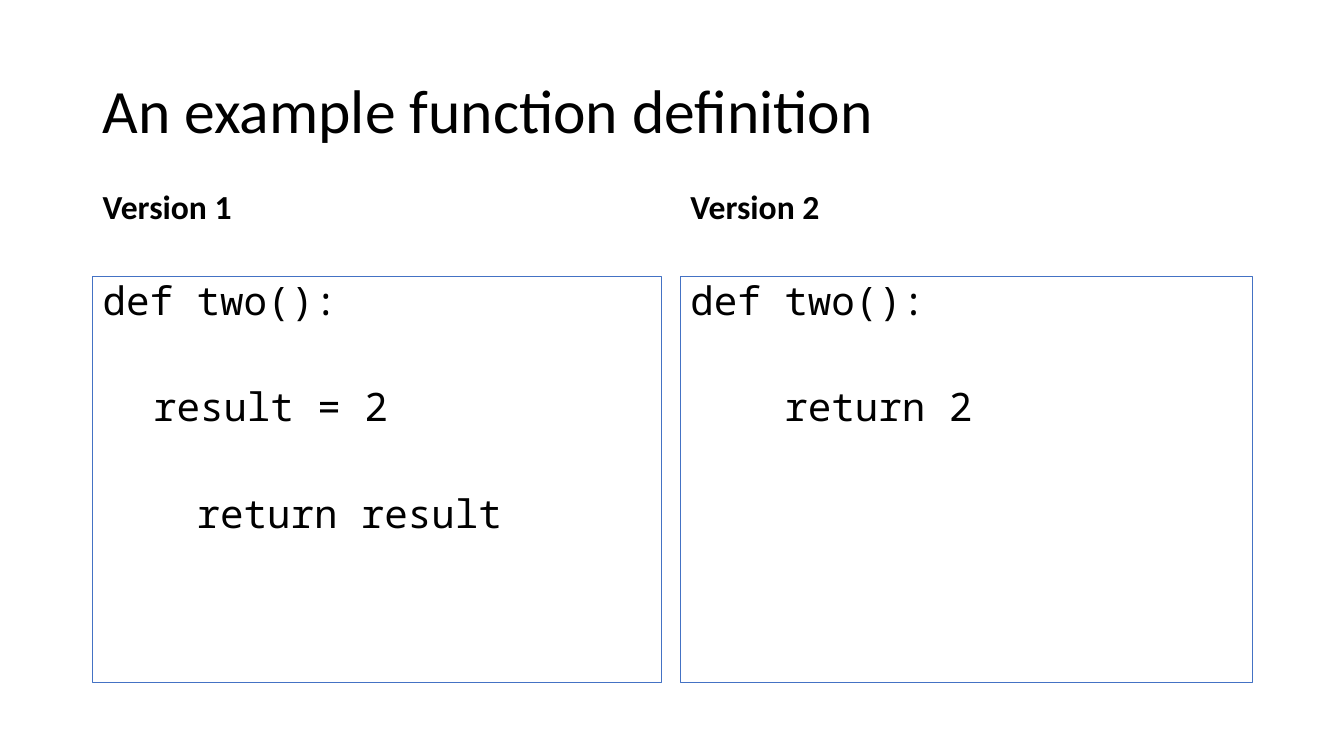
from pptx import Presentation
from pptx.dml.color import RGBColor
from pptx.enum.shapes import MSO_SHAPE
from pptx.enum.text import MSO_ANCHOR, PP_ALIGN
from pptx.util import Inches, Pt

BLACK = RGBColor(0x00, 0x00, 0x00)
BLUE = RGBColor(0x44, 0x72, 0xC4)

TITLE_FONT = {"name": "Calibri", "size": Pt(44)}
HEADING_FONT = {"name": "Calibri", "size": Pt(24), "bold": True}
CODE_FONT = {"name": "Noto Sans Mono", "size": Pt(28)}

LEFT = 0.92
HEADING_TOP, HEADING_HEIGHT = 1.84, 0.9
CODE_TOP, CODE_HEIGHT = HEADING_TOP + HEADING_HEIGHT, 4.03
STATEMENT_GAP = Pt(46)

# Heading, left, width, code lines
VERSIONS = [
    ("Version 1", LEFT, 5.64,
     ["def two():", "\tresult = 2", "    return result"]),
    ("Version 2", 6.75, 5.67,
     ["def two():", "    return 2"]),
]


def write_lines(shape, lines, font_format, anchor=MSO_ANCHOR.TOP):
    """Fill a shape with one paragraph per line, a statement gap between them."""
    frame = shape.text_frame
    frame.word_wrap = True
    frame.vertical_anchor = anchor
    for index, line in enumerate(lines):
        paragraph = frame.add_paragraph() if index else frame.paragraphs[0]
        paragraph.text = line
        paragraph.alignment = PP_ALIGN.LEFT
        paragraph.line_spacing = 0.9
        paragraph.space_before = STATEMENT_GAP if index else Pt(0)
        for name, value in font_format.items():
            setattr(paragraph.font, name, value)
        paragraph.font.color.rgb = BLACK


def add_label(slide, box, text, font_format, anchor=MSO_ANCHOR.TOP):
    label = slide.shapes.add_textbox(*map(Inches, box))
    write_lines(label, [text], font_format, anchor)


def add_code_panel(slide, box, lines):
    panel = slide.shapes.add_shape(MSO_SHAPE.RECTANGLE, *map(Inches, box))
    panel.shadow.inherit = False
    panel.fill.background()
    panel.line.color.rgb = BLUE
    panel.line.width = Pt(0.75)
    write_lines(panel, lines, CODE_FONT)


def main():
    presentation = Presentation()
    presentation.slide_width = Inches(13.33)
    presentation.slide_height = Inches(7.5)
    slide = presentation.slides.add_slide(presentation.slide_layouts[6])

    add_label(slide, (LEFT, 0.4, 11.5, 1.45), "An example function definition",
              TITLE_FONT, MSO_ANCHOR.MIDDLE)
    for heading, left, width, code in VERSIONS:
        add_label(slide, (left, HEADING_TOP, width, HEADING_HEIGHT),
                  heading, HEADING_FONT)
        add_code_panel(slide, (left, CODE_TOP, width, CODE_HEIGHT), code)

    presentation.save("out.pptx")


if __name__ == "__main__":
    main()
